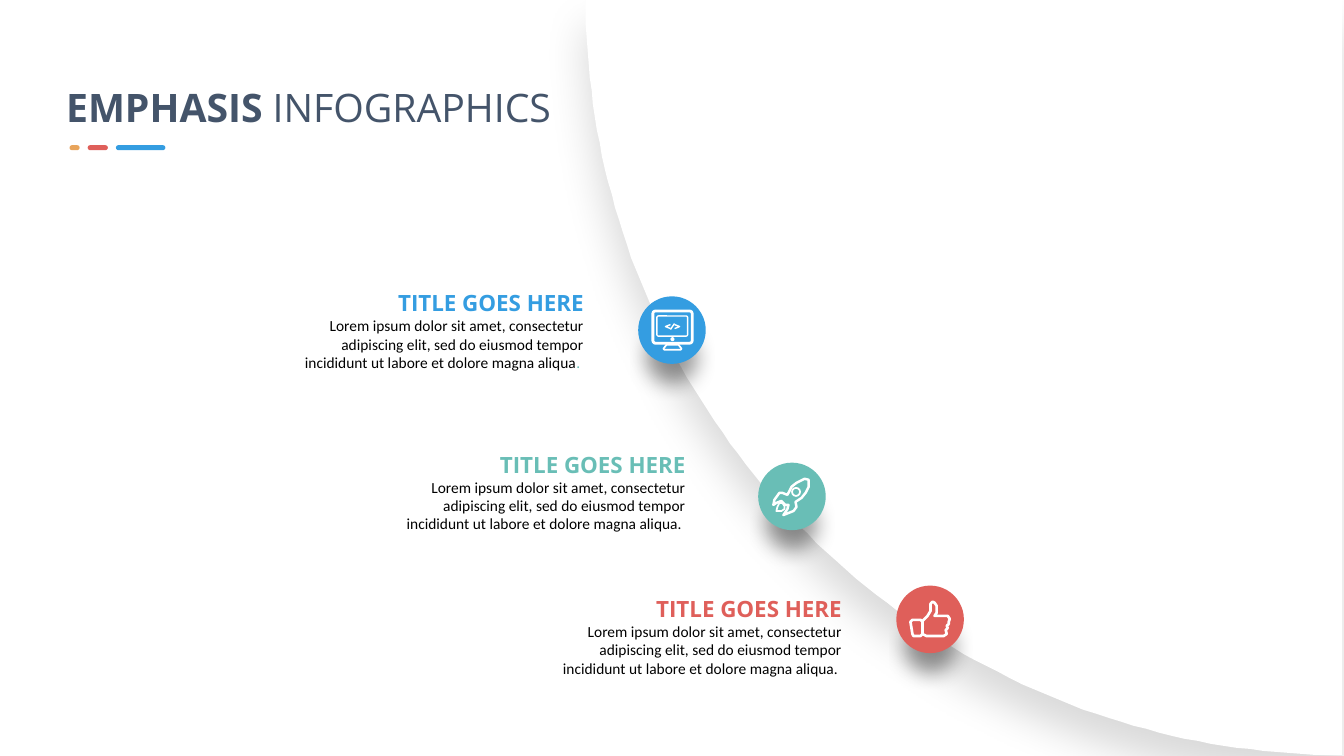
from math import cos, radians, sin

from lxml.etree import SubElement
from pptx import Presentation
from pptx.dml.color import RGBColor
from pptx.enum.shapes import MSO_SHAPE as Shape
from pptx.enum.text import MSO_ANCHOR as Anchor, PP_ALIGN as Align
from pptx.oxml.ns import qn
from pptx.util import Inches, Pt

BLUE, TEAL, RED, GOLD = "349DE1", "69BEB6", "DF5F5A", "E8A45B"
WHITE, BLACK, NAVY = "FFFFFF", "000000", "44546A"
HEAD = "TITLE GOES HERE"
BODY = ("Lorem ipsum dolor sit amet, consectetur adipiscing elit, sed do "
        "eiusmod tempor incididunt ut labore et dolore magna aliqua")
UNIT = Inches(0.01)

CUFF = [(14.5, 36), (16, 33.5), (24, 33.5), (26, 35.5), (26, 48.5),
        (24, 50.5), (17, 50.5), (15.5, 48.5)]
HAND = [(26, 35), (31, 29.5), (33.5, 25), (34, 18.5), (35.5, 16.5),
        (37.5, 17), (39.5, 20), (39.5, 27), (38.5, 30.5), (51, 30.5),
        (53, 33), (51.5, 35.5), (52, 38), (50, 40.5), (51, 42.5),
        (49, 44.5), (49.5, 47.5), (47, 49.5), (30, 49.5), (26, 48)]
HULL = [(15, 42), (16.5, 37), (21, 30), (24, 29.5), (29, 32), (33, 23.5),
        (38, 19.5), (46, 16), (50, 17), (49.5, 24), (47, 30), (43, 35),
        (37, 39), (38, 44), (35, 48), (25, 52.5), (29, 46), (29.5, 41.5),
        (27, 42.5), (23, 38), (18, 40)]
FLAME = [(17.5, 48.5), (19, 43.5), (21, 40.5), (24, 40.5), (26.5, 43),
         (26, 46), (23, 47.5)]
FOOT = [(28, 48.5), (25, 51.5), (26, 53), (42, 53), (43, 51.5), (40, 48.5)]
MARKS = [[(32, 28), (27, 29.8), (32, 32)], [(35.5, 27), (32.5, 33)],
         [(36, 28), (41, 29.8), (36, 32)]]


def color(code):
    """Turn a hex string into a colour."""
    return RGBColor.from_string(code)


def paint(shape, fill=None, line=None, width=1):
    """Set fill and line, and drop the theme shadow."""
    shape.shadow.inherit = False
    if fill:
        shape.fill.solid()
        shape.fill.fore_color.rgb = color(fill)
    else:
        shape.fill.background()
    if line:
        shape.line.color.rgb = color(line)
        shape.line.width = Pt(width)
    else:
        shape.line.fill.background()
    return shape


def shade(shape, alpha, blur, dist, scale=100):
    """Cast a soft black shadow straight down."""
    effects = shape._element.spPr.find(qn("a:effectLst"))
    size = str(scale * 1000)
    cast = SubElement(effects, qn("a:outerShdw"), blurRad=str(Pt(blur)),
                      dist=str(Pt(dist)), dir="5400000", sx=size, sy=size,
                      algn="ctr", rotWithShape="0")
    tint = SubElement(cast, qn("a:srgbClr"), val=BLACK)
    SubElement(tint, qn("a:alpha"), val=str(alpha * 1000))


def trace(shapes, left, top, points, close=True):
    """Draw an outline given in hundredths of an inch."""
    pen = shapes.build_freeform(*points[0], scale=UNIT)
    pen.add_line_segments(points[1:], close=close)
    return pen.convert_to_shape(left, top)


def place(shapes, kind, left, top, box):
    """Add a preset shape at a box in hundredths of an inch."""
    x, y, wide, high = (round(n * UNIT) for n in box)
    return shapes.add_shape(kind, left + x, top + y, wide, high)


def style(run, size, code, font, bold=False):
    """Format one run."""
    run.font.size, run.font.bold, run.font.name = Pt(size), bold, font
    run.font.color.rgb = color(code)


def panel(shapes, left, top, size):
    """Draw the white quarter disc with its shadow."""
    arc = [(size + size * cos(radians(a)), size * sin(radians(a)))
           for a in range(90, 181)]
    disc = trace(shapes, left, top, [(size, 0)] + arc)
    shade(paint(disc, WHITE), 15, 30, 20)


def screen(shapes, left, top):
    """Draw the monitor icon."""
    for box, width in (((14.5, 14.5, 39, 32), 2), ((18.5, 19.5, 30.5, 20), 1)):
        frame = place(shapes, Shape.ROUNDED_RECTANGLE, left, top, box)
        frame.adjustments[0] = 0.08
        paint(frame, line=WHITE, width=width)
    paint(trace(shapes, left, top, FOOT), line=WHITE, width=1.25)
    paint(place(shapes, Shape.OVAL, left, top, (32, 40.5, 4, 4)), WHITE)
    for mark in MARKS:
        paint(trace(shapes, left, top, mark, False), line=WHITE)


def rocket(shapes, left, top):
    """Draw the rocket icon."""
    paint(trace(shapes, left, top, HULL), line=WHITE, width=1.75)
    paint(trace(shapes, left, top, FLAME), line=WHITE, width=1.25)
    port = place(shapes, Shape.OVAL, left, top, (33.5, 25, 8, 8))
    paint(port, line=WHITE, width=1.25)


def thumb(shapes, left, top):
    """Draw the thumb icon."""
    for points in (CUFF, HAND):
        paint(trace(shapes, left, top, points), line=WHITE, width=1.9)


def badge(slide, left, top, code, icon):
    """Draw a round badge with its icon."""
    shapes = slide.shapes.add_group_shape().shapes
    disc = place(shapes, Shape.OVAL, left, top, (0, 0, 67, 67))
    shade(paint(disc, code), 40, 15, 20, 75)
    icon(shapes, left, top)


def blurb(slide, left, top, code, dot):
    """Write a heading and its text, set to the right."""
    frame = slide.shapes.add_textbox(
        left, top, Inches(3.04), Inches(0.82)).text_frame
    frame.word_wrap, frame.vertical_anchor = True, Anchor.MIDDLE
    frame.margin_left = frame.margin_right = 0
    frame.margin_top = frame.margin_bottom = 0
    par = frame.paragraphs[0]
    par.text = f"{HEAD}\v{BODY}"
    par.alignment, par.space_after = Align.RIGHT, Pt(12)
    end = par.add_run()
    end.text = ". "
    head, body = par.runs[:2]
    style(head, 16, code, "Open Sans", True)
    style(body, 11, BLACK, "Calibri")
    style(end, 11, dot, "Calibri")


def header(slide, left, top):
    """Fill the title and draw the bars below it."""
    title = slide.shapes.title
    title.left, title.top = left, top
    title.width, title.height = Inches(5.18), Inches(0.57)
    frame = title.text_frame
    frame.word_wrap, frame.vertical_anchor = True, Anchor.MIDDLE
    par = frame.paragraphs[0]
    par.text, par.alignment = "EMPHASIS ", Align.CENTER
    par.add_run().text = "INFOGRAPHICS"
    for run, bold in zip(par.runs, (True, False)):
        style(run, 28, NAVY, "Open Sans", bold)
    x = 22
    for wide, code in ((10, GOLD), (20, RED), (49, BLUE)):
        bar = place(slide.shapes, Shape.ROUNDED_RECTANGLE, left, top,
                    (x, 67, wide, 5))
        bar.adjustments[0] = 0.5
        paint(bar, code)
        x += wide + 8


def main():
    """Build the slide and save it."""
    deck = Presentation()
    deck.slide_width, deck.slide_height = Inches(13.33), Inches(7.5)
    slide = deck.slides.add_slide(deck.slide_layouts[5])
    panel(slide.shapes, Inches(5.81), Inches(-0.01), 750)
    items = [(6.33, 2.94, 2.75, 2.87, BLUE, screen, TEAL),
             (7.52, 4.59, 3.76, 4.47, TEAL, rocket, BLACK),
             (8.89, 5.81, 5.31, 5.9, RED, thumb, BLACK)]
    for x, y, left, top, code, icon, dot in items:
        badge(slide, Inches(x), Inches(y), code, icon)
        blurb(slide, Inches(left), Inches(top), code, dot)
    header(slide, Inches(0.47), Inches(0.77))
    deck.save("out.pptx")


if __name__ == "__main__":
    main()
